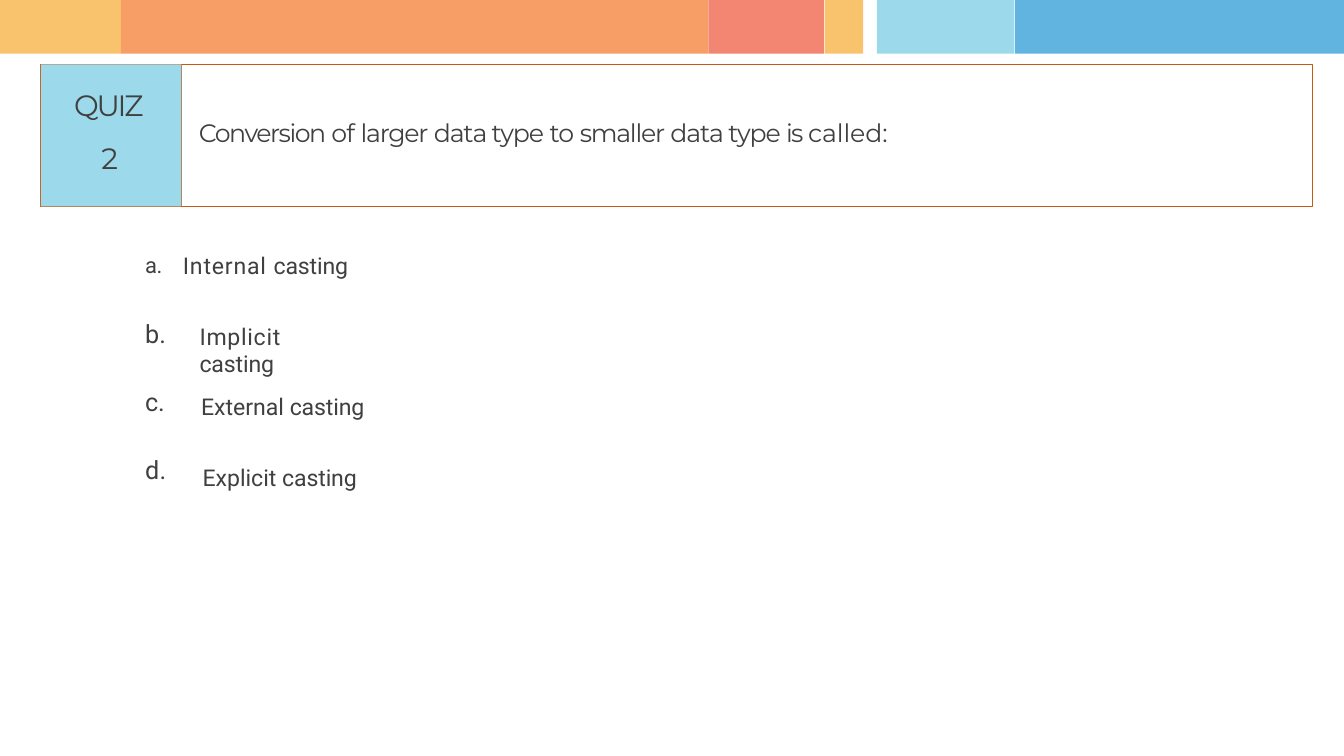
from lxml import etree
from pptx import Presentation
from pptx.dml.color import RGBColor
from pptx.enum.shapes import MSO_CONNECTOR, MSO_SHAPE
from pptx.enum.text import MSO_ANCHOR, MSO_AUTO_SIZE, PP_ALIGN
from pptx.oxml.ns import qn
from pptx.util import Inches, Pt

RECTANGLE, STRAIGHT = MSO_SHAPE.RECTANGLE, MSO_CONNECTOR.STRAIGHT
TOP, LEFT, NO_FIT = MSO_ANCHOR.TOP, PP_ALIGN.LEFT, MSO_AUTO_SIZE.NONE

WIDTH, HEIGHT = 17.78, 10
SAND, ORANGE, CORAL, SKY, BLUE = "F9C36E", "F69E66", "F38573", "9CDAEB", "60B4DF"
RUST, INK = "C55A11", "404040"
HEADING, BODY = "Montserrat", "Roboto"

BANDS = [(0, 1.6, SAND), (1.6, 9.37, ORANGE), (9.37, 10.9, CORAL),
         (10.91, 11.42, SAND), (11.6, 13.42, SKY), (13.43, WIDTH, BLUE)]
QUESTION = [("Conversion ", -1.4), ("of ", -0.8), ("larger ", -1.2),
            ("data type ", -1.1), ("to ", -0.9), ("smaller ", -1.2),
            ("data type ", -1.1), ("is ", -1.8), ("called:", -0.1)]
# letter, its spacing, first word, its spacing, width of the answer
OPTIONS = [("b.", 0.2, "Implicit ", 0.7, 2.15),
           ("c.", -0.2, "External ", 0, 2.28),
           ("d.", 0.2, "Explicit ", 0, 2.11)]


def color(value):
    return RGBColor.from_string(value)


def place(shape, box):
    shape.left, shape.top, shape.width, shape.height = map(Inches, box)


def add_run(paragraph, text, spacing=0, size=22, font=BODY, raised=0):
    """Add a run; spacing is in points, raised in percent of the size."""
    run = paragraph.add_run()
    run.text = text
    run.font.name, run.font.size = font, Pt(size)
    run.font.color.rgb = color(INK)
    properties = run.font._element
    properties.set("spc", str(round(spacing * 100)))
    if raised:
        properties.set("baseline", str(raised * 1000))


def write(shape, runs, inset=0.01, right_inset=0, margin=0.01, indent=0,
          tab=None, line_spacing=None, **run_format):
    """Fill a shape with one paragraph of (text, spacing[, format]) runs."""
    frame = shape.text_frame
    frame.word_wrap, frame.auto_size = True, NO_FIT
    frame.vertical_anchor = TOP
    frame.margin_left = frame.margin_bottom = 0
    frame.margin_top, frame.margin_right = Inches(inset), Inches(right_inset)
    paragraph = frame.paragraphs[0]
    paragraph.alignment = LEFT
    paragraph.line_spacing = line_spacing
    properties = paragraph._p.get_or_add_pPr()
    properties.set("marL", str(Inches(margin)))
    properties.set("indent", str(Inches(indent)))
    if tab:
        tabs = etree.SubElement(properties, qn("a:tabLst"))
        etree.SubElement(tabs, qn("a:tab"), pos=str(Inches(tab)), algn="l")
    for text, spacing, *special in runs:
        add_run(paragraph, text, spacing, **(special[0] if special else run_format))


def add_text(slide, box, runs, **text_format):
    write(slide.shapes.add_textbox(*map(Inches, box)), runs, **text_format)


def add_rectangle(slide, box, fill=None, line=None, weight=1):
    rectangle = slide.shapes.add_shape(RECTANGLE, *map(Inches, box))
    rectangle.shadow.inherit = False
    if fill:
        rectangle.fill.solid()
        rectangle.fill.fore_color.rgb = color(fill)
    else:
        rectangle.fill.background()
    if line:
        rectangle.line.color.rgb = color(line)
        rectangle.line.width = Pt(weight)
    else:
        rectangle.line.fill.background()


def add_banner(slide, box):
    left, top, _, height = box
    for start, end, fill in BANDS:
        add_rectangle(slide, (left + start, top, end - start, height), fill)


def add_question(slide, box):
    left, top, width, height = box
    label_width = 1.86
    divider_x = left + label_width
    add_rectangle(slide, box, line=RUST, weight=0.96)
    divider = slide.shapes.add_connector(
        STRAIGHT, *map(Inches, (divider_x, top, divider_x, top + height)))
    divider.line.color.rgb, divider.line.width = color(RUST), Pt(0.48)
    etree.SubElement(divider._element.spPr, qn("a:effectLst"))
    add_text(slide, (divider_x, top + 0.69, width - label_width, 0.43),
             QUESTION, margin=0.23, size=24, font=HEADING)

    title = slide.shapes.title
    title.element.getparent().append(title.element)  # in front of the frame
    place(title, (left, top, label_width, height))
    title.fill.solid()
    title.fill.fore_color.rgb = color(SKY)
    write(title, [("QUIZ ", -2), ("2", -0.5)], inset=0.06, right_inset=0.4,
          margin=0.8, indent=-0.36, line_spacing=1.51, size=28, font=HEADING)


def add_options(slide, box):
    left, top, width, _ = box
    add_text(slide, (left, top, width, 0.39),
             [("a.\t", -0.4, {"size": 36, "raised": 1}),
              ("Internal ", 0.8), ("casting", -0.1)],
             inset=0, tab=0.74, line_spacing=Pt(27.8))
    for row, (letter, tracking, word, word_tracking, answer_width) in enumerate(OPTIONS):
        add_text(slide, (left, top + 0.86 + 0.9 * row, 0.32, 0.43),
                 [(letter, tracking)], size=24)
        add_text(slide, (left + 0.72 + 0.02 * row, top + 0.91 + 0.935 * row,
                         answer_width, 0.39),
                 [(word, word_tracking), ("casting", -0.1)])


def main():
    deck = Presentation()
    deck.slide_width, deck.slide_height = Inches(WIDTH), Inches(HEIGHT)
    slide = deck.slides.add_slide(deck.slide_layouts[5])
    add_banner(slide, (0, 0, WIDTH, 0.71))
    add_question(slide, (0.54, 0.85, 16.82, 1.88))
    add_options(slide, (1.91, 3.34, 2.95, 3.17))
    deck.save("out.pptx")


if __name__ == "__main__":
    main()
